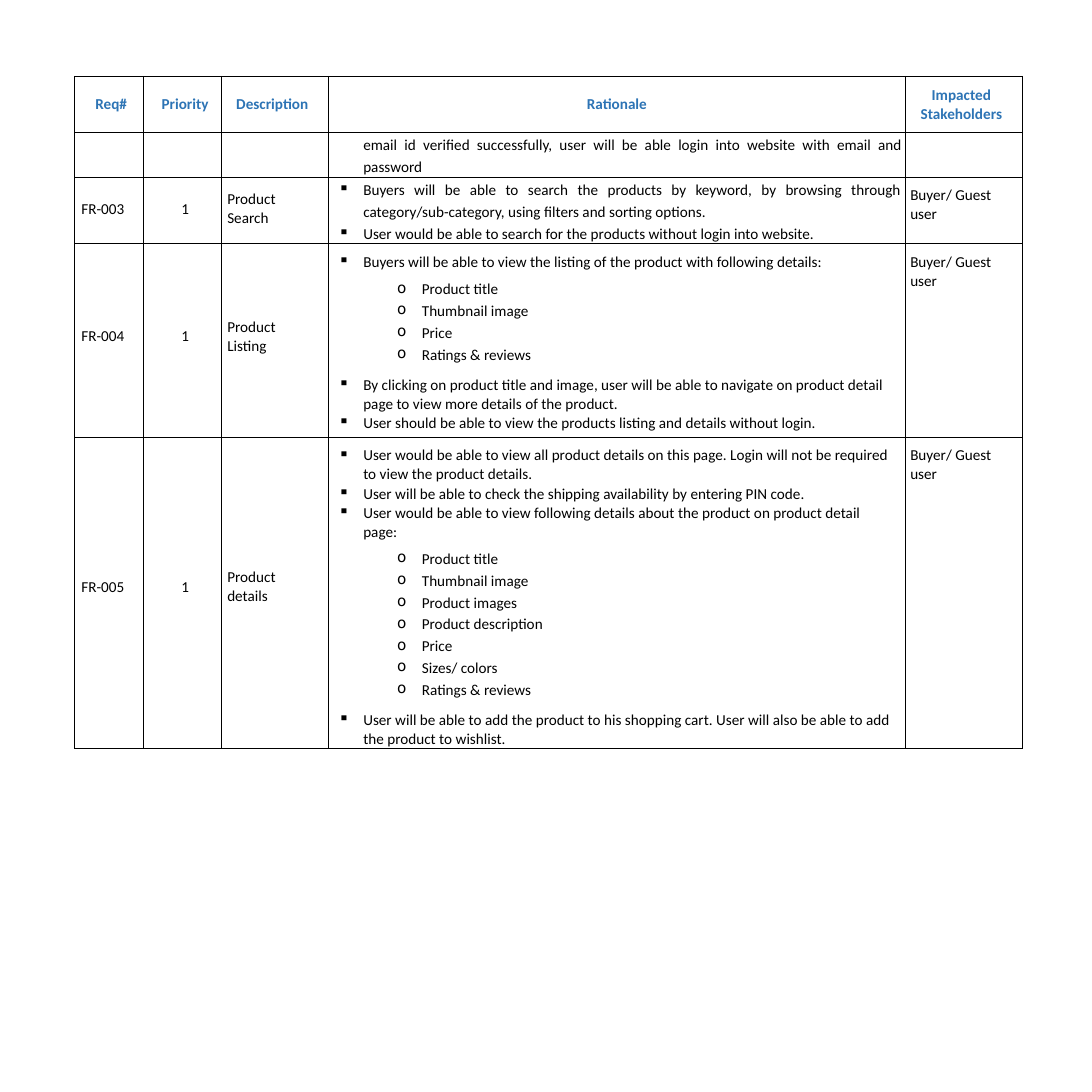
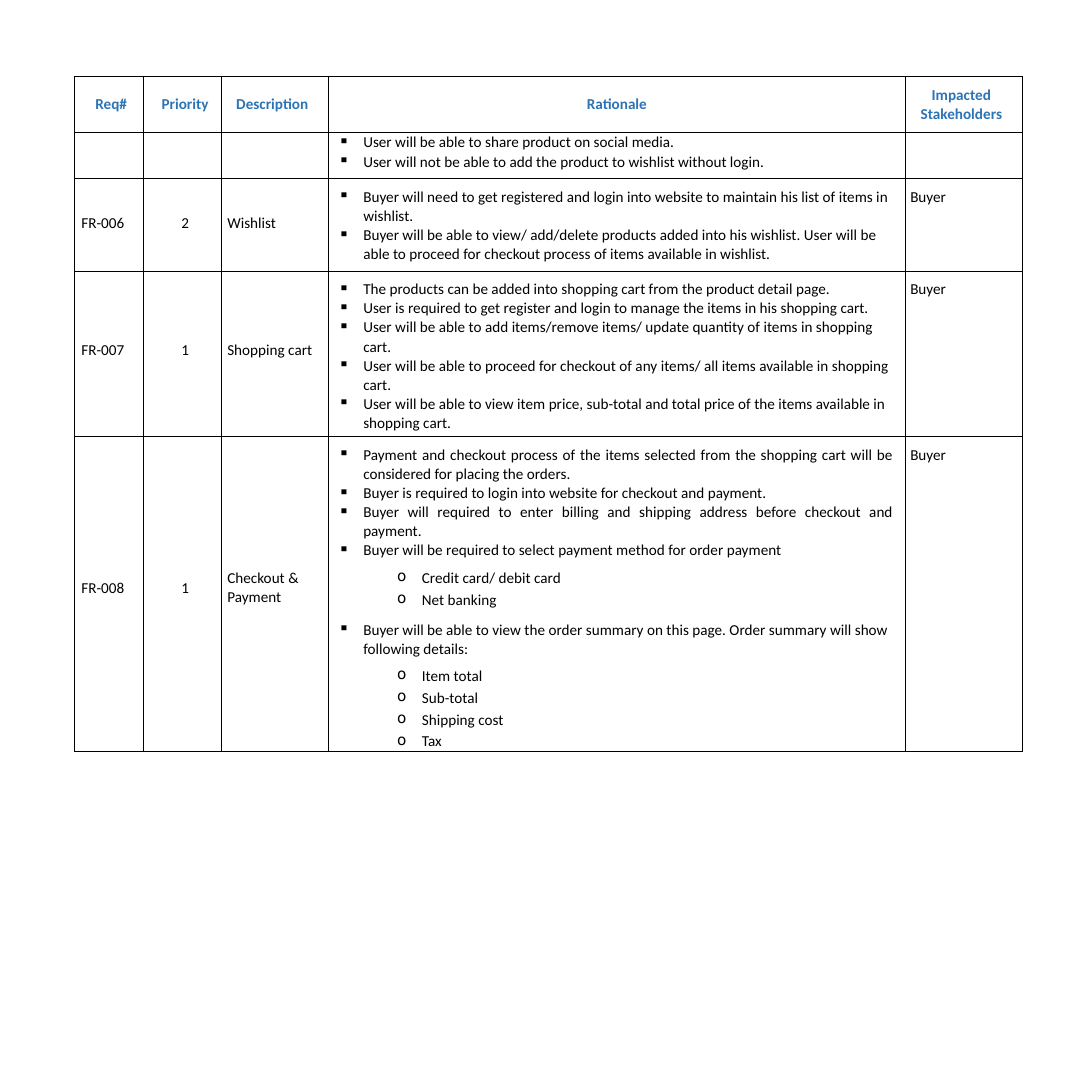
from lxml import etree
from pptx import Presentation
from pptx.dml.color import RGBColor
from pptx.enum.text import MSO_ANCHOR, PP_ALIGN
from pptx.oxml.ns import qn
from pptx.util import Inches, Pt

LEFT, CENTER, JUSTIFY = PP_ALIGN.LEFT, PP_ALIGN.CENTER, PP_ALIGN.JUSTIFY
TOP, MIDDLE = MSO_ANCHOR.TOP, MSO_ANCHOR.MIDDLE

COLORS = {"heading": "2D74B5", "text": "000000", "border": "000000"}
FONT, SIZE = "Calibri", 11
SLIDE_SIDE = 11
TABLE_LEFT, TABLE_TOP = 0.75, 0.77
COLUMN_WIDTHS = [0.69, 0.79, 1.08, 5.81, 1.18]
HEADER_HEIGHT = 0.56
LINE_SPACING, LOOSE_SPACING = 1.02, 1.17
RATIONALE = 3

HEADINGS = ["Req#", "Priority", "Description", "Rationale", "Impacted Stakeholders"]
HEADING_FORMATS = [
    {"align": LEFT, "left": 0.21},
    {"align": CENTER, "left": 0.06},
    {"align": LEFT, "left": 0.15},
    {"align": CENTER},
    {"align": CENTER, "left": 0.15, "right": 0.2},
]
BODY_FORMATS = [
    {"left": 0.07, "anchor": MIDDLE},
    {"left": 0.06, "anchor": MIDDLE, "align": CENTER},
    {"left": 0.06, "right": 0.15, "anchor": MIDDLE},
    {"right": 0.12, "top": 0.09},
    {"left": 0.05, "right": 0.15, "top": 0.09},
]

ITEM_STYLES = {
    "bullet": {"mark": "▪", "indent": 0.35, "spacing": LINE_SPACING},
    "justified": {"mark": "▪", "indent": 0.35, "spacing": LINE_SPACING, "align": JUSTIFY},
    "loose": {"mark": "▪", "indent": 0.35, "spacing": LOOSE_SPACING, "align": JUSTIFY},
    "continued": {"indent": 0.35, "spacing": LOOSE_SPACING, "align": JUSTIFY},
    "sub": {"mark": "o", "indent": 0.94, "level": 1, "spacing": 1.0},
}
HANGING = 0.25
SPACE_BEFORE = {(0, 0): 0, (0, 1): 6.2, (1, 1): 2.25, (1, 0): 8}

SLIDES = [
    [
        {"height": 0.45, "top": 0.01, "right": 0.03, "labels": ["", "", ""], "stakeholders": "", "items": [
            ("continued", "email id verified successfully, user will be able login into website "
                          "with email and password"),
        ]},
        {"height": 0.66, "top": 0.01, "right": 0.04, "labels": ["FR-003", "1", "Product Search"],
         "stakeholders": "Buyer/ Guest user", "items": [
            ("loose", "Buyers will be able to search the products by keyword, by browsing through "
                      "category/sub-category, using filters and sorting options."),
            ("loose", "User would be able to search for the products without login into website."),
        ]},
        {"height": 1.95, "labels": ["FR-004", "1", "Product Listing"],
         "stakeholders": "Buyer/ Guest user", "items": [
            ("bullet", "Buyers will be able to view the listing of the product with following details:"),
            ("sub", "Product title"),
            ("sub", "Thumbnail image"),
            ("sub", "Price"),
            ("sub", "Ratings & reviews"),
            ("bullet", "By clicking on product title and image, user will be able to navigate on "
                       "product detail page to view more details of the product."),
            ("bullet", "User should be able to view the products listing and details without login."),
        ]},
        {"height": 3.08, "labels": ["FR-005", "1", "Product details"],
         "stakeholders": "Buyer/ Guest user", "items": [
            ("bullet", "User would be able to view all product details on this page. Login will not "
                       "be required to view the product details."),
            ("bullet", "User will be able to check the shipping availability by entering PIN code."),
            ("bullet", "User would be able to view following details about the product on product "
                       "detail page:"),
            ("sub", "Product title"),
            ("sub", "Thumbnail image"),
            ("sub", "Product images"),
            ("sub", "Product description"),
            ("sub", "Price"),
            ("sub", "Sizes/ colors"),
            ("sub", "Ratings & reviews"),
            ("bullet", "User will be able to add the product to his shopping cart. User will also be "
                       "able to add the product to wishlist."),
        ]},
    ],
    [
        {"height": 0.47, "top": 0.01, "labels": ["", "", ""], "stakeholders": "", "items": [
            ("bullet", "User will be able to share product on social media."),
            ("bullet", "User will not be able to add the product to wishlist without login."),
        ]},
        {"height": 0.93, "labels": ["FR-006", "2", "Wishlist"], "stakeholders": "Buyer", "items": [
            ("bullet", "Buyer will need to get registered and login into website to maintain his "
                       "list of items in wishlist."),
            ("bullet", "Buyer will be able to view/ add/delete products added into his wishlist. "
                       "User will be able to proceed for checkout process of items available in wishlist."),
        ]},
        {"height": 1.67, "labels": ["FR-007", "1", "Shopping cart"], "stakeholders": "Buyer", "items": [
            ("bullet", "The products can be added into shopping cart from the product detail page."),
            ("bullet", "User is required to get register and login to manage the items in his "
                       "shopping cart."),
            ("bullet", "User will be able to add items/remove items/ update quantity of items in "
                       "shopping cart."),
            ("bullet", "User will be able to proceed for checkout of any items/ all items available "
                       "in shopping cart."),
            ("bullet", "User will be able to view item price, sub-total and total price of the items "
                       "available in shopping cart."),
        ]},
        {"height": 3.13, "labels": ["FR-008", "1", "Checkout & Payment"], "stakeholders": "Buyer", "items": [
            ("justified", "Payment and checkout process of the items selected from the shopping cart "
                          "will be considered for placing the orders."),
            ("bullet", "Buyer is required to login into website for checkout and payment."),
            ("justified", "Buyer will required to enter billing and shipping address before checkout "
                          "and payment."),
            ("bullet", "Buyer will be required to select payment method for order payment"),
            ("sub", "Credit card/ debit card"),
            ("sub", "Net banking"),
            ("bullet", "Buyer will be able to view the order summary on this page. Order summary "
                       "will show following details:"),
            ("sub", "Item total"),
            ("sub", "Sub-total"),
            ("sub", "Shipping cost"),
            ("sub", "Tax"),
        ]},
    ],
]


def draw_borders(cell, top_width):
    properties = cell._tc.get_or_add_tcPr()
    for side, width in (("L", 0.5), ("R", 0.5), ("T", top_width), ("B", 0.5)):
        line = etree.SubElement(properties, qn("a:ln" + side), w=str(Pt(width)))
        fill = etree.SubElement(line, qn("a:solidFill"))
        etree.SubElement(fill, qn("a:srgbClr"), val=COLORS["border"])


def format_cell(cell, layout, top_width=0.5):
    draw_borders(cell, top_width)
    cell.fill.background()
    cell.vertical_anchor = layout.get("anchor", TOP)
    for side in ("left", "right", "top", "bottom"):
        setattr(cell, "margin_" + side, Inches(layout.get(side, 0)))


def write(paragraph, text, align=LEFT, color="text", bold=False, spacing=LINE_SPACING):
    paragraph.alignment = align
    paragraph.line_spacing = spacing
    paragraph.font.size = Pt(SIZE)
    if text:
        font = paragraph.add_run()
        font.text = text
        font = font.font
        for name, value in {"name": FONT, "size": Pt(SIZE), "bold": bold}.items():
            setattr(font, name, value)
        font.color.rgb = RGBColor.from_string(COLORS[color])


def write_items(cell, items):
    previous_level = 0
    for index, (kind, text) in enumerate(items):
        style = ITEM_STYLES[kind]
        level = style.get("level", 0)
        frame = cell.text_frame
        paragraph = frame.add_paragraph() if index else frame.paragraphs[0]
        write(paragraph, text, style.get("align", LEFT), spacing=style["spacing"])
        paragraph.level = level
        paragraph.space_before = Pt(SPACE_BEFORE[previous_level, level])
        properties = paragraph._p.get_or_add_pPr()
        properties.set("marL", str(Inches(style["indent"])))
        properties.set("indent", str(-Inches(HANGING) if "mark" in style else 0))
        if "mark" in style:
            etree.SubElement(properties, qn("a:buChar"), char=style["mark"])
        else:
            etree.SubElement(properties, qn("a:buNone"))
        previous_level = level


def add_requirements(slide, requirements):
    heights = [HEADER_HEIGHT] + [requirement["height"] for requirement in requirements]
    table = slide.shapes.add_table(
        len(heights), len(COLUMN_WIDTHS), Inches(TABLE_LEFT), Inches(TABLE_TOP),
        Inches(sum(COLUMN_WIDTHS)), Inches(sum(heights))).table
    table.first_row = table.horz_banding = False
    for column, width in zip(table.columns, COLUMN_WIDTHS):
        column.width = Inches(width)
    for row, height in zip(table.rows, heights):
        row.height = Inches(height)

    for column, (heading, layout) in enumerate(zip(HEADINGS, HEADING_FORMATS)):
        cell = table.cell(0, column)
        format_cell(cell, {**layout, "anchor": MIDDLE}, top_width=1)
        write(cell.text_frame.paragraphs[0], heading, layout["align"], "heading", True)

    for row, requirement in enumerate(requirements, 1):
        texts = requirement["labels"] + [None, requirement["stakeholders"]]
        for column, (text, base) in enumerate(zip(texts, BODY_FORMATS)):
            cell = table.cell(row, column)
            layout = dict(base)
            if column == RATIONALE:
                layout.update({side: requirement[side] for side in ("top", "right") if side in requirement})
            elif column < RATIONALE:
                layout["bottom"] = 0.04 * requirement["height"]
            format_cell(cell, layout)
            if column == RATIONALE:
                write_items(cell, requirement["items"])
            else:
                write(cell.text_frame.paragraphs[0], text, layout.get("align", LEFT))


def main():
    deck = Presentation()
    deck.slide_width = deck.slide_height = Inches(SLIDE_SIDE)
    for requirements in SLIDES:
        add_requirements(deck.slides.add_slide(deck.slide_layouts[6]), requirements)
    deck.save("out.pptx")


if __name__ == "__main__":
    main()
